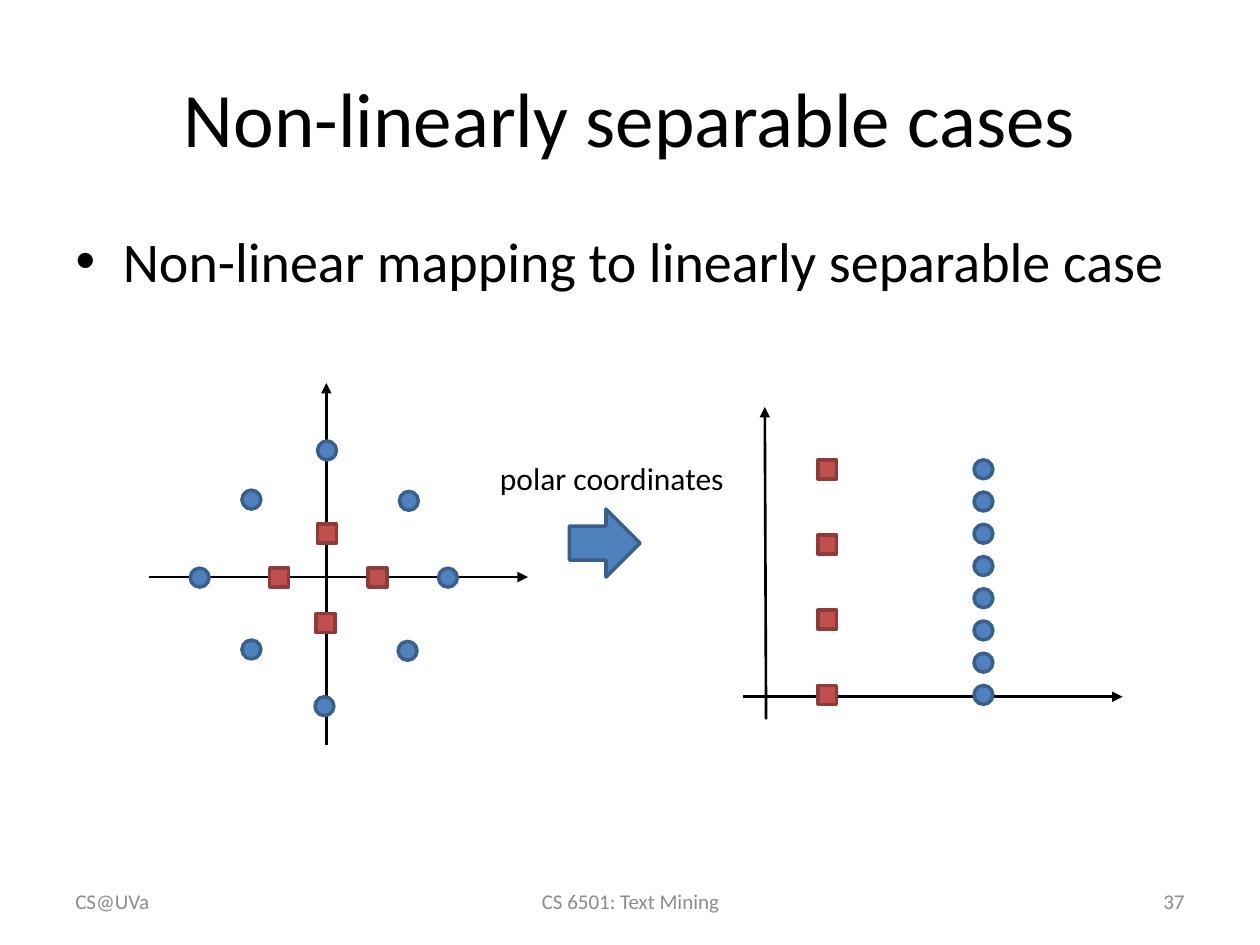
from lxml import etree
from pptx import Presentation
from pptx.dml.color import RGBColor
from pptx.enum.shapes import MSO_CONNECTOR, MSO_SHAPE
from pptx.enum.text import MSO_ANCHOR, PP_ALIGN
from pptx.oxml.ns import qn
from pptx.util import Inches, Pt

CIRCLE, SQUARE, ARROW = MSO_SHAPE.OVAL, MSO_SHAPE.RECTANGLE, MSO_SHAPE.RIGHT_ARROW
STRAIGHT = MSO_CONNECTOR.STRAIGHT
LEFT, CENTER, RIGHT = PP_ALIGN.LEFT, PP_ALIGN.CENTER, PP_ALIGN.RIGHT
MIDDLE, TOP = MSO_ANCHOR.MIDDLE, MSO_ANCHOR.TOP

BLACK = RGBColor(0x00, 0x00, 0x00)
GRAY = RGBColor(0x8C, 0x8C, 0x8C)
BLUE = RGBColor(0x4F, 0x81, 0xBD)
BLUE_EDGE = RGBColor(0x3A, 0x5F, 0x8C)
RED = RGBColor(0xC0, 0x50, 0x4D)
RED_EDGE = RGBColor(0x8E, 0x3B, 0x39)

prs = Presentation()
prs.slide_width, prs.slide_height = Inches(10), Inches(7.5)
COL = prs.slide_width / 100
ROW = prs.slide_height / 75
MARK = 1.5
slide = prs.slides.add_slide(prs.slide_layouts[1])


def grid(x, y, width, height):
    """Turn columns and rows into left, top, width and height."""
    return int(x * COL), int(y * ROW), int(width * COL), int(height * ROW)


def write(box, text, size, color, align, anchor):
    frame = box.text_frame
    frame.text = text
    frame.vertical_anchor = anchor
    paragraph = frame.paragraphs[0]
    paragraph.alignment = align
    font = paragraph.runs[0].font
    font.name, font.size, font.color.rgb = "Calibri", Pt(size), color


# Title and list
title, body = slide.placeholders
title.left, title.top, title.width, title.height = grid(5, 3, 90, 12.5)
write(title, "Non-linearly separable cases", 44, BLACK, CENTER, MIDDLE)
body.left, body.top, body.width, body.height = grid(5, 17.5, 90, 49.5)
write(body, "Non-linear mapping to linearly separable case", 32, BLACK, LEFT, TOP)

# Footer
for x, width, text, align in [
    (5, 23.3, "CS@UVa", LEFT),
    (34.2, 31.7, "CS 6501: Text Mining", CENTER),
    (71.7, 23.3, "37", RIGHT),
]:
    footer = slide.shapes.add_textbox(*grid(x, 69.5, width, 4))
    footer.text_frame.word_wrap = True
    write(footer, text, 12, GRAY, align, MIDDLE)

# Axes of the Cartesian and the polar plot
for start_x, start_y, end_x, end_y in [
    (11.8, 45.8, 41.9, 45.8),
    (25.9, 59.1, 25.9, 30.4),
    (59, 55.3, 89.1, 55.3),
    (60.8, 57.1, 60.7, 32.3),
]:
    axis = slide.shapes.add_connector(
        STRAIGHT, *grid(start_x, start_y, end_x, end_y))
    axis.line.color.rgb = BLACK
    axis.line.width = Pt(1.5)
    etree.SubElement(axis.line._get_or_add_ln(), qn("a:tailEnd"), type="triangle")
    etree.SubElement(axis._element.spPr, qn("a:effectLst"))

# Markers: Cartesian positions, then evenly spaced polar columns
circles = [(15.1, 45.1), (34.8, 45.1), (25, 55.3), (25.2, 35),
           (19.2, 38.9), (31.7, 39), (19.2, 50.8), (31.6, 50.9)]
squares = [(21.4, 45.1), (29.2, 45.1), (25.2, 41.6), (25.1, 48.7)]
POLAR_TOP, POLAR_SPAN = 36.5, 17.9
for points, x in [(circles, 77.3), (squares, 64.9)]:
    gap = POLAR_SPAN / (len(points) - 1)
    points += [(x, POLAR_TOP + i * gap) for i in range(len(points))]

figures = [(CIRCLE, x, y, MARK, MARK, BLUE, BLUE_EDGE) for x, y in circles]
figures += [(SQUARE, x, y, MARK, MARK, RED, RED_EDGE) for x, y in squares]
figures.append((ARROW, 45.2, 40.4, 5.6, 5.4, BLUE, BLUE_EDGE))
for kind, x, y, width, height, fill, edge in figures:
    figure = slide.shapes.add_shape(kind, *grid(x, y, width, height))
    figure.shadow.inherit = False
    figure.fill.solid()
    figure.fill.fore_color.rgb = fill
    figure.line.color.rgb = edge
    figure.line.width = Pt(2)

mapping = slide.shapes.add_textbox(*grid(38.7, 35.9, 20, 4))
mapping.text_frame.word_wrap = False
write(mapping, "polar coordinates", 18, BLACK, LEFT, TOP)

prs.save("out.pptx")
